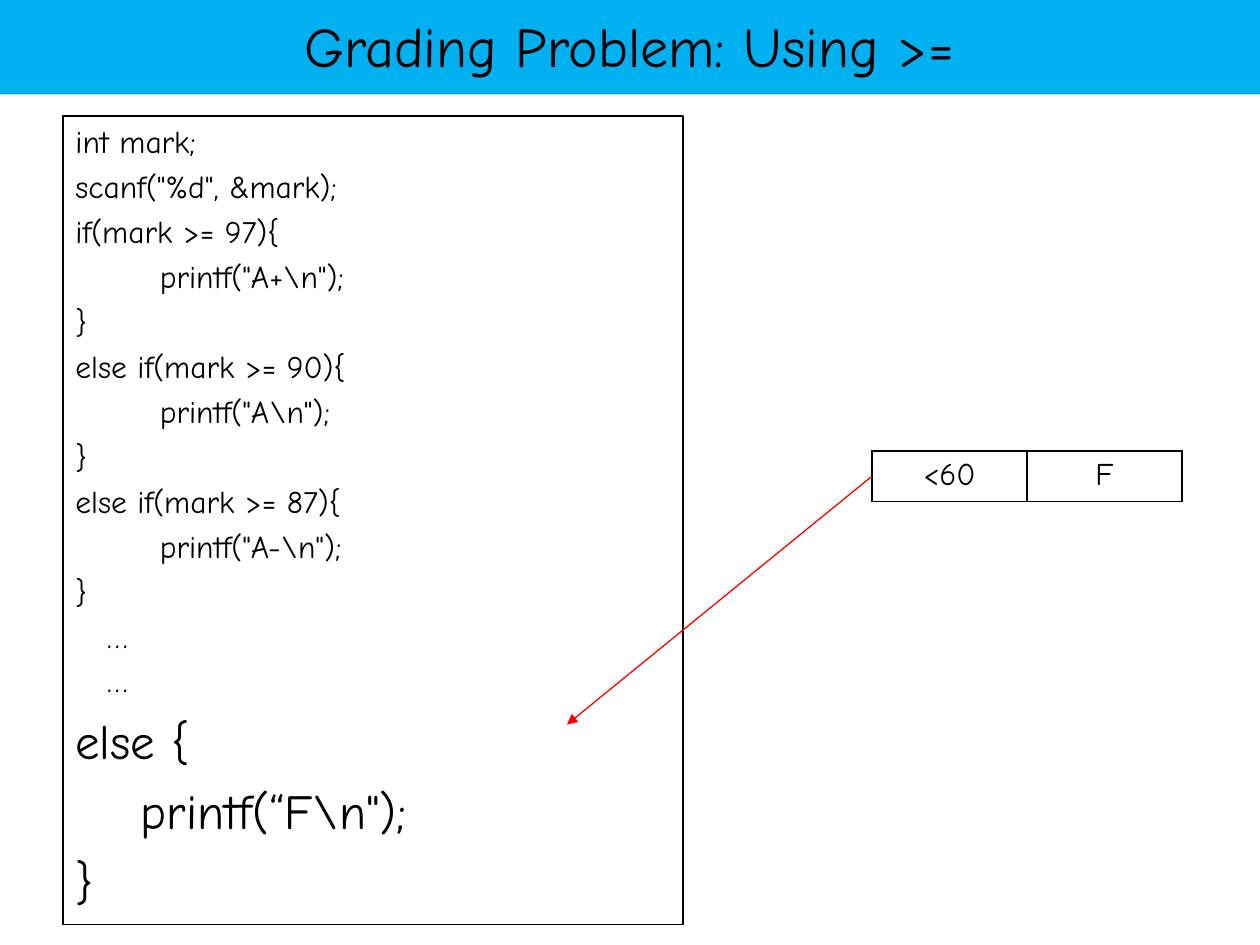
"""Build the grading slide with its code box, grade table and arrow."""
import pptx
import pptx.util
import pptx.dml.color
import pptx.enum.shapes
import pptx.enum.text
import pptx.oxml
import pptx.oxml.ns

Inches = pptx.util.Inches
Pt = pptx.util.Pt
ALIGN = pptx.enum.text.PP_ALIGN
ANCHOR = pptx.enum.text.MSO_ANCHOR
COLORS = {"band": "00B0F0", "ink": "000000", "arrow": "FF0000"}
FONT = "Comic Neue"
NS = pptx.oxml.ns.nsdecls("a")


def color(name):
    return pptx.dml.color.RGBColor.from_string(COLORS[name])


def style(par, size, align):
    par.alignment = align
    for run in par.runs:
        run.font.size = Pt(size)
        run.font.name = FONT
        run.font.color.rgb = color("ink")


deck = pptx.Presentation()
deck.slide_width, deck.slide_height = Inches(10), Inches(7.5)
slide = deck.slides.add_slide(deck.slide_layouts[6])
shapes = slide.shapes

title = shapes.add_shape(
    pptx.enum.shapes.MSO_SHAPE.RECTANGLE,
    Inches(-0.01), Inches(-0.03), Inches(10.01), Inches(0.78))
title.shadow.inherit = False
title.fill.solid()
title.fill.fore_color.rgb = color("band")
title.line.fill.background()
title.text_frame.text = "Grading Problem: Using >="
title.text_frame.vertical_anchor = ANCHOR.MIDDLE
style(title.text_frame.paragraphs[0], 32, ALIGN.CENTER)

code = [("int mark;", 18, 0), ('scanf("%d", &mark);', 18, 0)]
word = "if"
for low, grade in [(97, "A+"), (90, "A"), (87, "A-")]:
    code += [(f"{word}(mark >= {low}){{", 18, 0),
             (f'printf("{grade}\\n");', 18, 0.67),
             ("}", 18, 0)]
    word = "else if"
code += [("…", 18, 0.25)] * 2
code += [("else {", 28, 0), ('printf(“F\\n");', 28, 0.52), ("}", 28, 0)]

box = shapes.add_textbox(Inches(0.5), Inches(0.92), Inches(4.92), Inches(6.42))
box.line.color.rgb = color("ink")
box.line.width = Pt(0.75)
frame = box.text_frame
frame.word_wrap = True
frame.text = "\n".join(text for text, size, left in code)
for par, (text, size, left) in zip(frame.paragraphs, code):
    style(par, size, ALIGN.LEFT)
    par.space_before = Pt(round(size * 0.23, 1))
    par._p.get_or_add_pPr().set("marL", str(Inches(left)))

grid = shapes.add_table(
    1, 2, Inches(6.92), Inches(3.58), Inches(2.46), Inches(0.4)).table
grid.first_row = grid.horz_banding = False
for cell, text in zip(grid.rows[0].cells, ["<60", "F"]):
    cell.text = text
    style(cell.text_frame.paragraphs[0], 18, ALIGN.CENTER)
    props = cell._tc.get_or_add_tcPr()
    for side in ["lnL", "lnR", "lnT", "lnB"]:
        props.append(pptx.oxml.parse_xml(
            f'<a:{side} {NS} w="{Pt(1)}"><a:solidFill>'
            f'<a:srgbClr val="{COLORS["ink"]}"/></a:solidFill></a:{side}>'))
    cell.fill.background()

arrow = shapes.add_connector(
    pptx.enum.shapes.MSO_CONNECTOR.STRAIGHT,
    Inches(6.92), Inches(3.78), Inches(4.5), Inches(5.75))
arrow.line.color.rgb = color("arrow")
arrow.line.width = Pt(0.75)
arrow.line._get_or_add_ln().append(
    pptx.oxml.parse_xml(f'<a:tailEnd {NS} type="triangle"/>'))
arrow._element.spPr.append(pptx.oxml.parse_xml(f"<a:effectLst {NS}/>"))

deck.save("out.pptx")
